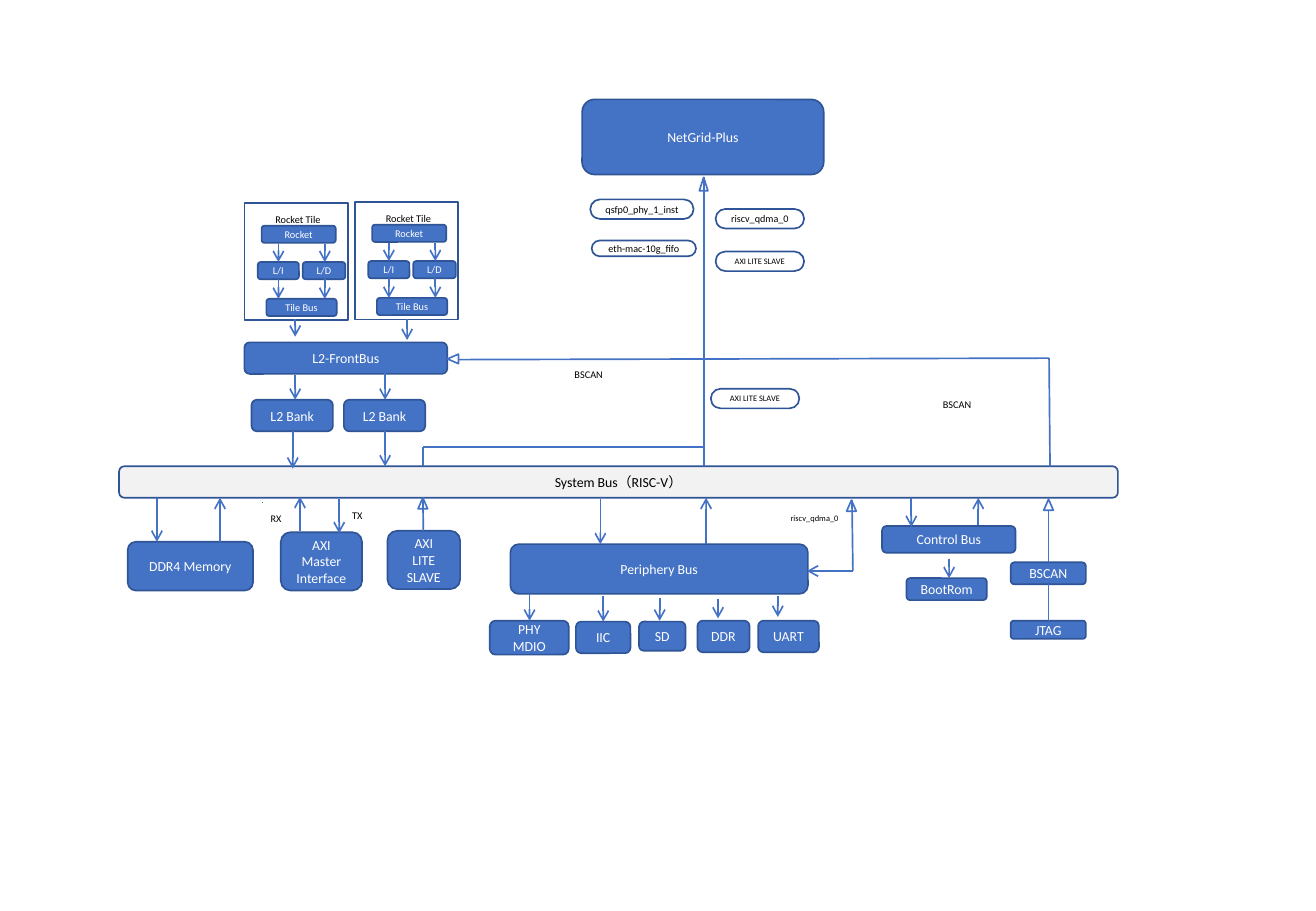
import pptx
import pptx.util
import pptx.dml.color
import pptx.enum.shapes
import pptx.enum.text
import pptx.oxml
import pptx.oxml.ns
from dataclasses import dataclass

Cm = pptx.util.Cm
Shape = pptx.enum.shapes.MSO_SHAPE
Align = pptx.enum.text.PP_ALIGN
Anchor = pptx.enum.text.MSO_ANCHOR


@dataclass(frozen=True)
class Theme:
    font: str = "Calibri"
    blue: str = "4472C4"
    outline: str = "2F5597"
    bus: str = "F2F2F2"
    light: str = "FFFFFF"
    dark: str = "000000"
    body: float = 8.2
    small: float = 6.1
    pill: float = 6
    tiny: float = 5
    stroke: float = 1


THEME = Theme()


def rgb(value):
    return pptx.dml.color.RGBColor.from_string(value)


def write(shape, text, size, color, align=Align.CENTER, wrap=True):
    frame = shape.text_frame
    frame.word_wrap = wrap
    frame.vertical_anchor = Anchor.MIDDLE
    frame.margin_top = frame.margin_bottom = 0
    para = frame.paragraphs[0]
    para.text = text
    para.alignment = align
    para.font.name = THEME.font
    para.font.size = pptx.util.Pt(size)
    para.font.color.rgb = rgb(color)


@dataclass
class Region:
    """An area of the page; parts are placed in cm from its top left corner."""
    page: object
    left: float
    top: float

    def lengths(self, x, y, width, height):
        return Cm(self.left + x), Cm(self.top + y), Cm(width), Cm(height)

    def outline(self, kind, box, fill=None, line=THEME.outline):
        shape = self.page.shapes.add_shape(kind, *self.lengths(*box))
        shape.shadow.inherit = False
        if fill:
            shape.fill.solid()
            shape.fill.fore_color.rgb = rgb(fill)
        else:
            shape.fill.background()
        shape.line.color.rgb = rgb(line)
        shape.line.width = pptx.util.Pt(THEME.stroke)
        return shape

    def block(self, text, box, size=THEME.body, fill=THEME.blue, color=THEME.light):
        write(self.outline(Shape.ROUNDED_RECTANGLE, box, fill), text, size, color)

    def pill(self, text, box, size):
        shape = self.outline(Shape.ROUNDED_RECTANGLE, box)
        shape.adjustments[0] = 0.5
        write(shape, text, size, THEME.dark, wrap=False)

    def label(self, text, box, size=THEME.small, align=Align.LEFT):
        shape = self.page.shapes.add_textbox(*self.lengths(*box))
        write(shape, text, size, THEME.dark, align)

    def head(self, x, y, width=0.2, height=0.23, rotation=0):
        shape = self.outline(Shape.ISOSCELES_TRIANGLE, (x, y, width, height), line=THEME.blue)
        shape.rotation = rotation

    def line(self, x1, y1, x2, y2, arrow=False):
        link = self.page.shapes.add_connector(
            pptx.enum.shapes.MSO_CONNECTOR.STRAIGHT,
            Cm(self.left + x1), Cm(self.top + y1), Cm(self.left + x2), Cm(self.top + y2))
        link.line.color.rgb = rgb(THEME.blue)
        link.line.width = pptx.util.Pt(THEME.stroke)
        properties = link.line._get_or_add_ln()
        if arrow:
            tail = pptx.oxml.parse_xml(
                f'<a:tailEnd {pptx.oxml.ns.nsdecls("a")} type="arrow"/>')
            properties.append(tail)
        properties.addnext(pptx.oxml.parse_xml(
            f'<a:effectLst {pptx.oxml.ns.nsdecls("a")}/>'))

    def drop(self, x, start, end):
        """Vertical arrow."""
        self.line(x, start, x, end, arrow=True)


def system_bus(area):
    area.block("System Bus（RISC-V）", (0, 0, 20.88, 0.66), fill=THEME.bus, color=THEME.dark)


def host_card(area):
    area.block("NetGrid-Plus", (0, 0, 5.05, 1.57))
    for text, box, size in (
            ("qsfp0_phy_1_inst", (0.17, 2.09, 2.16, 0.41), THEME.pill),
            ("eth-mac-10g_fifo", (0.2, 2.95, 2.18, 0.33), THEME.pill),
            ("riscv_qdma_0", (2.79, 2.29, 1.85, 0.41), THEME.pill),
            ("AXI LITE SLAVE", (2.79, 3.18, 1.85, 0.41), THEME.tiny),
            ("AXI LITE SLAVE", (2.69, 6.05, 1.85, 0.41), THEME.tiny)):
        area.pill(text, box, size)
    # Trunk to the bus, with the side branch to the AXI slave
    area.head(2.45, 1.63, 0.18, 0.28)
    area.line(2.54, 7.67, 2.54, 1.63)
    area.line(2.54, 7.27, -3.33, 7.27)
    area.line(-3.33, 7.67, -3.33, 7.27)


def rocket_tile(area):
    area.outline(Shape.RECTANGLE, (0, 0, 2.16, 2.46))
    area.label("Rocket Tile", (0.28, 0.09, 1.68, 0.51), align=Align.CENTER)
    for text, x, y, width in (("Rocket", 0.36, 0.48, 1.55), ("L/I", 0.28, 1.24, 0.86),
                              ("L/D", 1.22, 1.24, 0.89), ("Tile Bus", 0.46, 2.01, 1.47)):
        area.block(text, (x, y, width, 0.36), THEME.small)
    for x in (0.71, 1.68):
        area.drop(x, 0.86, 1.24)
        area.drop(x, 1.6, 2.01)


def level_two_cache(area):
    area.block("L2-FrontBus", (0, 0, 4.24, 0.66))
    for x in (0.15, 2.08):
        area.block("L2 Bank", (x, 1.2, 1.7, 0.66))
    for x, start, end in ((1.06, -0.48, -0.12), (3.4, -0.48, -0.05), (1.06, 0.69, 1.2),
                          (2.94, 0.64, 1.2), (1.01, 1.86, 2.64), (2.94, 1.86, 2.59)):
        area.drop(x, start, end)


def debug_path(area):
    # Route over to the front bus
    area.head(0, 0, rotation=270)
    area.line(0.21, 0.13, 12.56, 0.1)
    area.line(12.56, 0.1, 12.58, 2.36)
    area.label("BSCAN", (2.39, 0.18, 1.52, 0.51))
    area.label("BSCAN", (10.09, 0.81, 1.7, 0.51))
    # JTAG chain below the system bus
    area.block("BSCAN", (11.76, 4.37, 1.57, 0.46))
    area.block("JTAG", (11.76, 5.59, 1.57, 0.38))
    area.head(12.45, 3.05)
    area.line(12.55, 4.37, 12.55, 3.28)
    area.line(12.55, 5.59, 12.55, 4.83)


def memory(area):
    area.block("DDR4 Memory", (0, 0.92, 2.62, 1.02))
    area.drop(0.61, 0, 0.92)
    area.drop(1.93, 0.92, 0)


def axi_ports(area):
    area.block("AXI Master Interface", (0.46, 0.74, 1.7, 1.22))
    area.block("AXI LITE SLAVE", (2.69, 0.71, 1.52, 1.22))
    area.label("RX", (0, 0.2, 0.74, 0.51), THEME.pill)
    area.label("TX", (1.7, 0.13, 0.89, 0.51))
    area.drop(0.86, 0.71, 0)
    area.drop(1.68, 0.05, 0.76)
    area.line(0.07, 0.12, 0.09, 0.12)
    area.head(3.33, 0.02)
    area.line(3.44, 0.71, 3.43, 0.05)


def periphery(area):
    area.block("Periphery Bus", (0.43, 0.97, 6.22, 1.04))
    area.drop(2.31, 0.03, 0.97)
    area.drop(4.52, 0.97, 0)
    # Devices, each with the arrow that feeds it
    for text, x, y, width, height, feed, start, end in (
            ("PHY MDIO", 0, 2.57, 1.65, 0.71, 0.83, 2.01, 2.57),
            ("IIC", 1.8, 2.59, 1.14, 0.66, 2.37, 2.06, 2.59),
            ("SD", 3.12, 2.59, 0.97, 0.61, 3.55, 2.09, 2.57),
            ("DDR", 4.34, 2.57, 1.09, 0.66, 4.77, 2.11, 2.52),
            ("UART", 5.61, 2.57, 1.27, 0.66, 6.02, 2.06, 2.49)):
        area.block(text, (x, y, width, height))
        area.drop(feed, start, end)
    # DMA return path
    area.line(7.59, 1.53, 6.63, 1.53, arrow=True)
    area.line(7.59, 1.53, 7.57, 0.05)
    area.head(7.46, 0.05)
    area.label("riscv_qdma_0", (5.94, 0.26, 1.7, 0.33), THEME.tiny, Align.CENTER)


def control(area):
    area.block("Control Bus", (0, 0.59, 2.79, 0.56))
    area.block("BootRom", (0.51, 1.68, 1.68, 0.46))
    area.drop(1.4, 1.27, 1.68)
    area.drop(2.01, 0.56, 0)
    area.drop(0.61, 0, 0.61)


def main():
    deck = pptx.Presentation()
    deck.slide_width, deck.slide_height = Cm(27.51), Cm(19.05)
    page = deck.slides.add_slide(deck.slide_layouts[6])
    for draw, left, top in (
            (system_bus, 2.49, 9.75), (host_card, 12.17, 2.08),
            (rocket_tile, 5.11, 4.24), (rocket_tile, 7.42, 4.22),
            (level_two_cache, 5.11, 7.16), (debug_path, 9.37, 7.39),
            (memory, 2.67, 10.41), (axi_ports, 5.41, 10.39),
            (periphery, 10.24, 10.41), (control, 18.44, 10.41)):
        draw(Region(page, left, top))
    deck.save("out.pptx")


if __name__ == "__main__":
    main()
